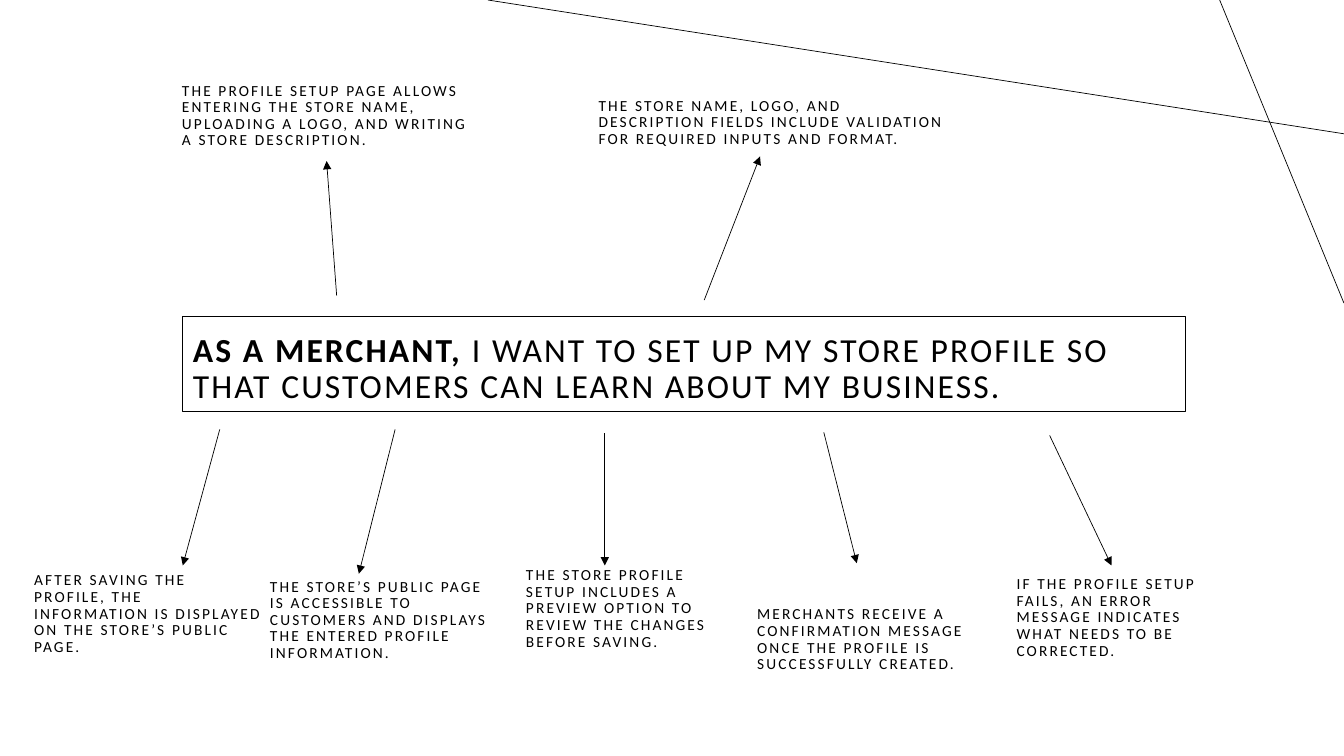
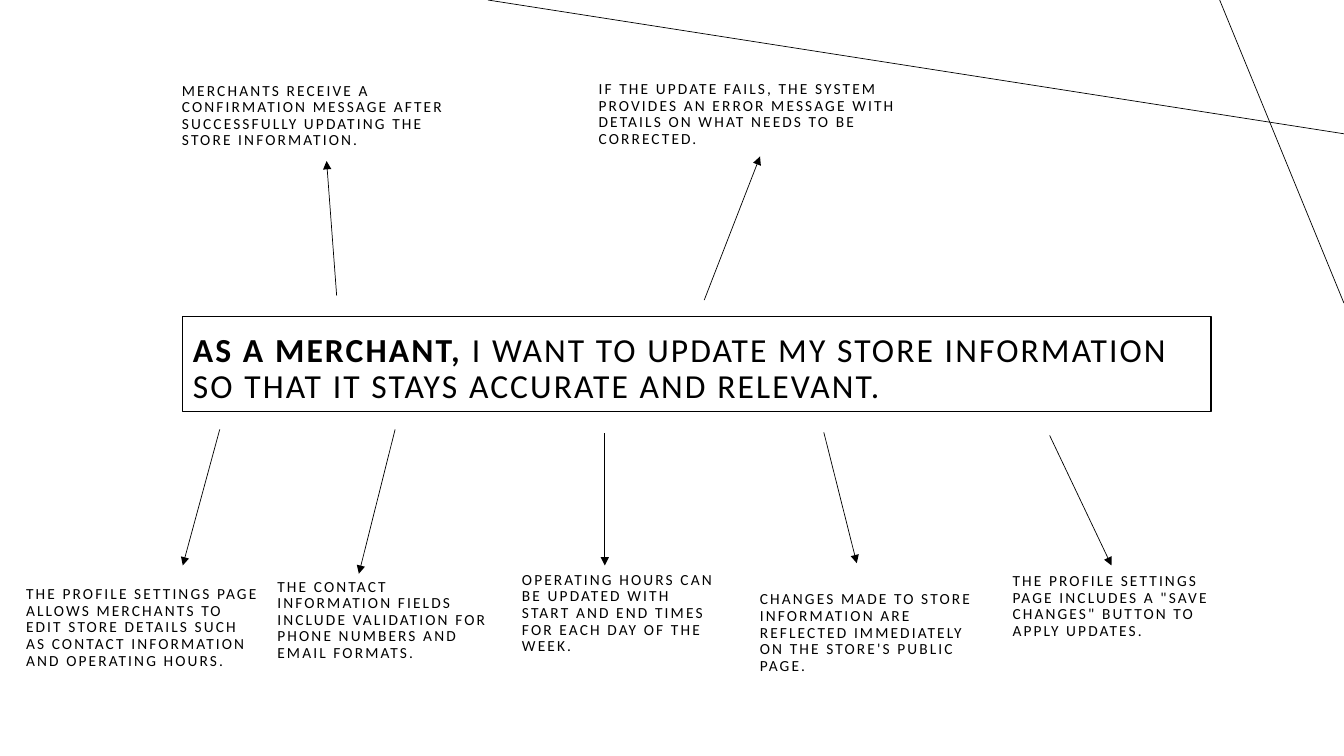
from lxml import etree
from pptx import Presentation
from pptx import util as u
from pptx.dml.color import RGBColor
from pptx.enum import shapes, text
from pptx.oxml.ns import qn

INK, PAPER = "000000", "FFFFFF"
FONT = "Calibri"
LEAD = "AS A MERCHANT, "

# All places are percentages of the slide's width and height.
ACCENT_LINES = [((100, 17.7), (36.3, 0)), ((90.75, 0), (100, 40.1))]
ARROWS = [
    ((16.35, 56.8), (13.6, 74.8)),
    ((29.4, 56.8), (26.7, 75.9)),
    ((45, 57.3), (45, 74.8)),
    ((61.3, 57.2), (63.75, 74.5)),
    ((78.1, 57.6), (82.7, 74.8)),
    ((25.05, 39.1), (24.3, 21.3)),
    ((52.4, 39.7), (56.55, 20.7)),
]
UPPER_LEFT = (12.8, 7.9, 22.9, 12.5)
UPPER_RIGHT = (43.8, 10.3, 27.9, 9.9)

# Each story: width of the title, wish, notes as (left, top, width, height), wording.
STORIES = [
    (74.6, "I WANT TO SET UP MY STORE PROFILE SO THAT CUSTOMERS CAN LEARN ABOUT MY BUSINESS.", [
        ((1.8, 77.9, 18.5, 9.5),
         "AFTER SAVING THE PROFILE, THE INFORMATION IS DISPLAYED ON THE STORE’S PUBLIC PAGE."),
        ((19.35, 75.7, 18.5, 12.5),
         "THE STORE’S PUBLIC PAGE IS ACCESSIBLE TO CUSTOMERS AND DISPLAYS THE ENTERED "
         "PROFILE INFORMATION."),
        ((38.4, 75.9, 17.1, 10.8),
         "THE STORE PROFILE SETUP INCLUDES A PREVIEW OPTION TO REVIEW THE CHANGES BEFORE SAVING."),
        ((55.6, 74.5, 17.1, 15.2),
         "MERCHANTS RECEIVE A CONFIRMATION MESSAGE ONCE THE PROFILE IS SUCCESSFULLY CREATED."),
        ((74.9, 79.1, 17.4, 8.8),
         "IF THE PROFILE SETUP FAILS, AN ERROR MESSAGE INDICATES WHAT NEEDS TO BE CORRECTED."),
        (UPPER_LEFT,
         "THE PROFILE SETUP PAGE ALLOWS ENTERING THE STORE NAME, UPLOADING A LOGO, "
         "AND WRITING A STORE DESCRIPTION."),
        (UPPER_RIGHT,
         "THE STORE NAME, LOGO, AND DESCRIPTION FIELDS INCLUDE VALIDATION FOR REQUIRED "
         "INPUTS AND FORMAT."),
    ]),
    (76.5, "I WANT TO UPDATE MY STORE INFORMATION SO THAT IT STAYS ACCURATE AND RELEVANT.", [
        ((1.2, 78.4, 18.9, 10.8),
         "THE PROFILE SETTINGS PAGE ALLOWS MERCHANTS TO EDIT STORE DETAILS SUCH AS CONTACT "
         "INFORMATION AND OPERATING HOURS."),
        ((19.9, 75.7, 18.5, 12.5),
         "THE CONTACT INFORMATION FIELDS INCLUDE VALIDATION FOR PHONE NUMBERS AND EMAIL FORMATS."),
        ((38.1, 71.2, 16.05, 16.1),
         "OPERATING HOURS CAN BE UPDATED WITH START AND END TIMES FOR EACH DAY OF THE WEEK."),
        ((55.8, 80.4, 17.4, 9.5),
         "CHANGES MADE TO STORE INFORMATION ARE REFLECTED IMMEDIATELY ON THE STORE'S PUBLIC PAGE."),
        ((74.6, 76.5, 17.4, 8.8),
         "THE PROFILE SETTINGS PAGE INCLUDES A \"SAVE CHANGES\" BUTTON TO APPLY UPDATES."),
        (UPPER_LEFT,
         "MERCHANTS RECEIVE A CONFIRMATION MESSAGE AFTER SUCCESSFULLY UPDATING THE STORE "
         "INFORMATION."),
        (UPPER_RIGHT,
         "IF THE UPDATE FAILS, THE SYSTEM PROVIDES AN ERROR MESSAGE WITH DETAILS ON WHAT "
         "NEEDS TO BE CORRECTED."),
    ]),
]

deck = Presentation()
deck.slide_width, deck.slide_height = u.Inches(13.333), u.Inches(7.5)
ACROSS, DOWN = deck.slide_width / 100, deck.slide_height / 100


def add_line(page, start, end):
    line = page.shapes.add_connector(
        shapes.MSO_CONNECTOR.STRAIGHT,
        int(start[0] * ACROSS), int(start[1] * DOWN), int(end[0] * ACROSS), int(end[1] * DOWN))
    line.line.color.rgb = RGBColor.from_string(INK)
    line.line.width = u.Pt(0.5)
    etree.SubElement(line.element.spPr, qn("a:effectLst"))
    return line


def write(box, place, size, *parts):
    """Place the box and fill it with (wording, bold) parts, resting on its bottom edge."""
    left, top, width, height = place
    box.left, box.top = int(left * ACROSS), int(top * DOWN)
    box.width, box.height = int(width * ACROSS), int(height * DOWN)
    frame = box.text_frame
    frame.word_wrap = True
    frame.auto_size = text.MSO_AUTO_SIZE.NONE
    frame.vertical_anchor = text.MSO_ANCHOR.BOTTOM
    para = frame.paragraphs[0]
    para.alignment = text.PP_ALIGN.LEFT
    para.line_spacing = 0.9
    for wording, bold in parts:
        span = para.add_run()
        span.text = wording
        span.font.name, span.font.size, span.font.bold = FONT, u.Pt(size), bold
        span.font.color.rgb = RGBColor.from_string(INK)
        span._r.get_or_add_rPr().set("spc", "150")


layout = deck.slide_layouts[5]
pages = [deck.slides.add_slide(layout) for _ in STORIES]

# The accent lines belong to the layout, so every page shows them.
for start, end in ACCENT_LINES:
    layout.shapes.element.append(add_line(pages[0], start, end).element)

for page, (title_width, wish, notes) in zip(pages, STORIES):
    title = page.shapes.title
    write(title, (13.6, 41.9, title_width, 12.5), 24, (LEAD, True), (wish, False))
    title.fill.solid()
    title.fill.fore_color.rgb = RGBColor.from_string(PAPER)
    title.line.color.rgb = RGBColor.from_string(INK)
    title.line.width = u.Pt(1)

    for (start, end), (place, wording) in zip(ARROWS, notes):
        arrow = add_line(page, start, end)
        etree.SubElement(arrow.line._get_or_add_ln(), qn("a:tailEnd"), type="triangle")
        write(page.shapes.add_textbox(0, 0, 0, 0), place, 11, (wording, False))

deck.save("out.pptx")
